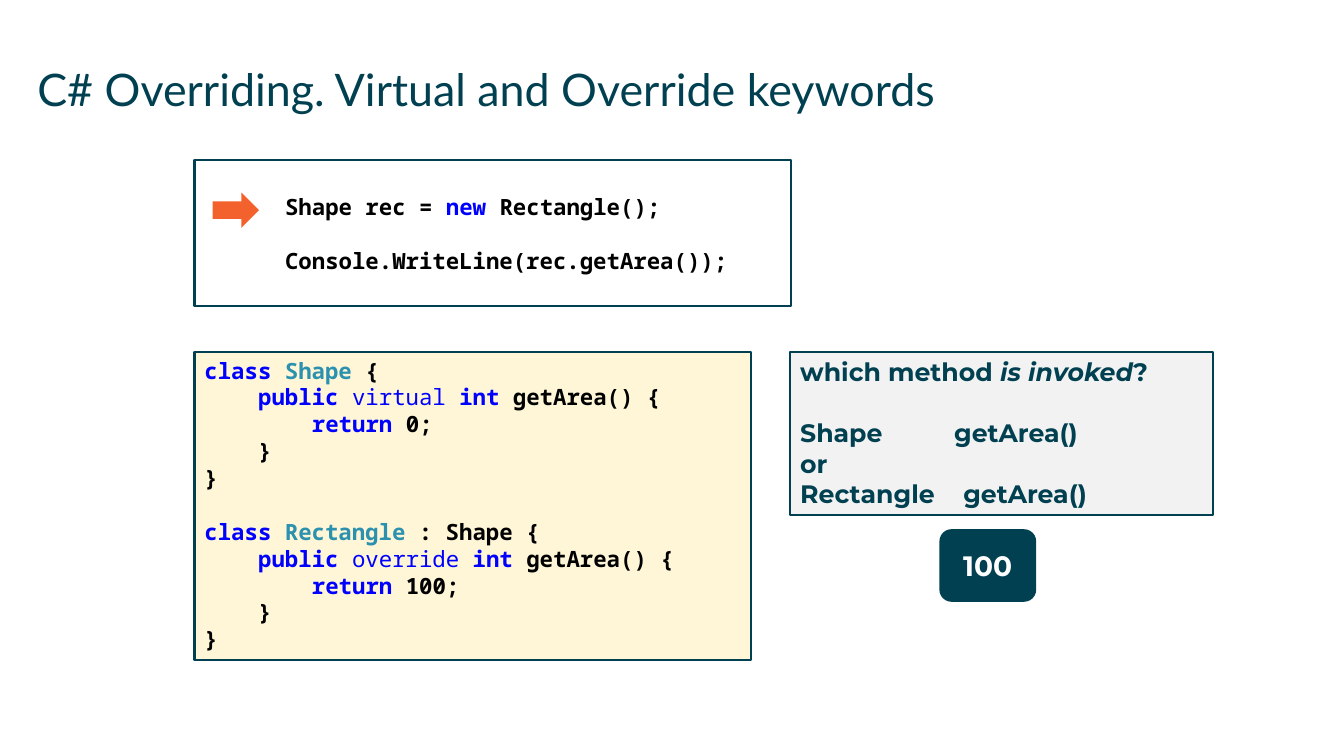
from dataclasses import dataclass

from lxml.etree import SubElement
from pptx import Presentation
from pptx.dml.color import RGBColor
from pptx.enum.shapes import MSO_SHAPE
from pptx.enum.text import MSO_ANCHOR, MSO_AUTO_SIZE, PP_ALIGN
from pptx.oxml.ns import qn
from pptx.util import Pt


@dataclass(frozen=True)
class Theme:
    teal: str = "004050"
    white: str = "FFFFFF"
    cream: str = "FEF6D7"
    grey: str = "F2F2F2"
    orange: str = "F3622C"
    black: str = "000000"
    blue: str = "0000FF"
    cyan: str = "2B91AF"
    head: str = "Lato"
    body: str = "Montserrat"
    mono: str = "Noto Sans Mono"
    title: int = 32
    code: int = 16
    note: int = 18
    badge: int = 20
    char: float = 9.6  # width of one code character
    row: float = 19.2  # height of one code line
    line: float = 21.9  # height of one note line


class Board:
    def __init__(self, slide, theme):
        self.slide = slide
        self.theme = theme

    def font(self, font, name, size, color, bold=None):
        font.name, font.size, font.bold = name, Pt(size), bold
        font.color.rgb = RGBColor.from_string(color)

    def title(self, text, *box):
        shape = self.slide.shapes.title
        shape.left, shape.top, shape.width, shape.height = map(Pt, box)
        frame = shape.text_frame
        frame.auto_size = MSO_AUTO_SIZE.NONE
        frame.vertical_anchor = MSO_ANCHOR.TOP
        frame.margin_left = frame.margin_right = 0
        frame.margin_top = frame.margin_bottom = 0
        para = frame.paragraphs[0]
        para.text = text
        para.alignment = PP_ALIGN.LEFT
        self.font(para.font, self.theme.head, self.theme.title, self.theme.teal)

    def shape(self, kind, fill, *box, line=None):
        shape = self.slide.shapes.add_shape(kind, *map(Pt, box))
        shape.shadow.inherit = False
        shape.fill.solid()
        shape.fill.fore_color.rgb = RGBColor.from_string(fill)
        if line:
            shape.line.color.rgb = RGBColor.from_string(line)
            shape.line.width = Pt(1.5)
        else:
            shape.line.fill.background()
        return shape

    def panel(self, fill, *box, anchor=MSO_ANCHOR.TOP):
        shape = self.shape(MSO_SHAPE.RECTANGLE, fill, *box, line=self.theme.teal)
        shape.text_frame.word_wrap = True
        shape.text_frame.vertical_anchor = anchor
        return shape.text_frame

    def para(self, frame, first, gap):
        para = frame.paragraphs[0] if first else frame.add_paragraph()
        para.alignment = PP_ALIGN.LEFT
        if gap:
            para.space_before = Pt(gap)
        return para

    def code(self, frame, rows):
        """Each row is (indent in characters, blank lines above, runs).

        A run is (text, colour) or (text, colour, bold).
        """
        theme = self.theme
        for num, (indent, blank, runs) in enumerate(rows):
            para = self.para(frame, num == 0, blank * theme.row)
            props = para._p.get_or_add_pPr()
            props.set("marL", str(Pt(indent * theme.char)))
            props.set("indent", "0")
            para.font.name, para.font.size = theme.mono, Pt(theme.code)
            for text, color, *bold in runs:
                run = para.add_run()
                run.text = text
                run.font.bold = bold[0] if bold else True
                run.font.color.rgb = RGBColor.from_string(color)

    def note(self, frame, rows):
        """Each row is (tab stop, blank lines above, runs of text and italic)."""
        theme = self.theme
        for num, (stop, blank, runs) in enumerate(rows):
            para = self.para(frame, num == 0, blank * theme.line)
            if stop:
                tabs = SubElement(para._p.get_or_add_pPr(), qn("a:tabLst"))
                SubElement(tabs, qn("a:tab"), pos=str(Pt(stop)), algn="l")
            self.font(para.font, theme.body, theme.note, theme.teal, True)
            for text, slant in runs:
                run = para.add_run()
                run.text = text
                if slant:
                    run.font.italic = True

    def badge(self, text, *box):
        theme = self.theme
        shape = self.shape(MSO_SHAPE.ROUNDED_RECTANGLE, theme.teal, *box)
        shape.text_frame.vertical_anchor = MSO_ANCHOR.MIDDLE
        para = shape.text_frame.paragraphs[0]
        para.text = text
        para.alignment = PP_ALIGN.CENTER
        self.font(para.font, theme.body, theme.badge, theme.white, True)


def members(theme, head, word, value, blank):
    """Rows of one class whose getArea returns value."""
    blue, black = theme.blue, theme.black
    return [
        (0, blank, [("class ", blue), *head]),
        (4, 0, [("public ", blue), (word + " ", blue, False),
                ("int ", blue), ("getArea() {", black)]),
        (8, 0, [("return", blue), (f" {value};", black)]),
        (4, 0, [("}", black)]),
        (0, 0, [("}", black)]),
    ]


def main():
    deck = Presentation()
    deck.slide_width, deck.slide_height = Pt(960), Pt(540)
    theme = Theme()
    board = Board(deck.slides.add_slide(deck.slide_layouts[5]), theme)
    blue, black, cyan = theme.blue, theme.black, theme.cyan

    board.title("C# Overriding. Virtual and Override keywords",
                26.64, 43.92, 901.44, 63.36)

    call = board.panel(theme.white, 138.96, 114.48, 426.24, 104.4,
                       anchor=MSO_ANCHOR.MIDDLE)
    board.code(call, [
        (6, 0, [("Shape rec = ", black), ("new", blue), (" Rectangle();", black)]),
        (6, 1, [("Console.WriteLine(rec.getArea());", black)]),
    ])

    classes = board.panel(theme.cream, 138.96, 251.28, 397.44, 220.32)
    base = [("Shape", cyan), (" {", black)]
    child = [("Rectangle", cyan), (" : Shape {", black)]
    board.code(classes, members(theme, base, "virtual", 0, 0)
               + members(theme, child, "override", 100, 1))

    ask = board.panel(theme.grey, 564.48, 251.28, 301.68, 116.64)
    board.note(ask, [
        (0, 0, [("which method ", False), ("is invoked", True), ("?", False)]),
        (110, 1, [("Shape\tgetArea()", False)]),
        (0, 0, [("or", False)]),
        (116.5, 0, [("Rectangle\tgetArea()", False)]),
    ])

    board.badge("100", 671.04, 378, 69.12, 51.84)
    board.shape(MSO_SHAPE.RIGHT_ARROW, theme.orange, 151.92, 137.52, 33.12, 25.2)
    deck.save("out.pptx")


if __name__ == "__main__":
    main()
